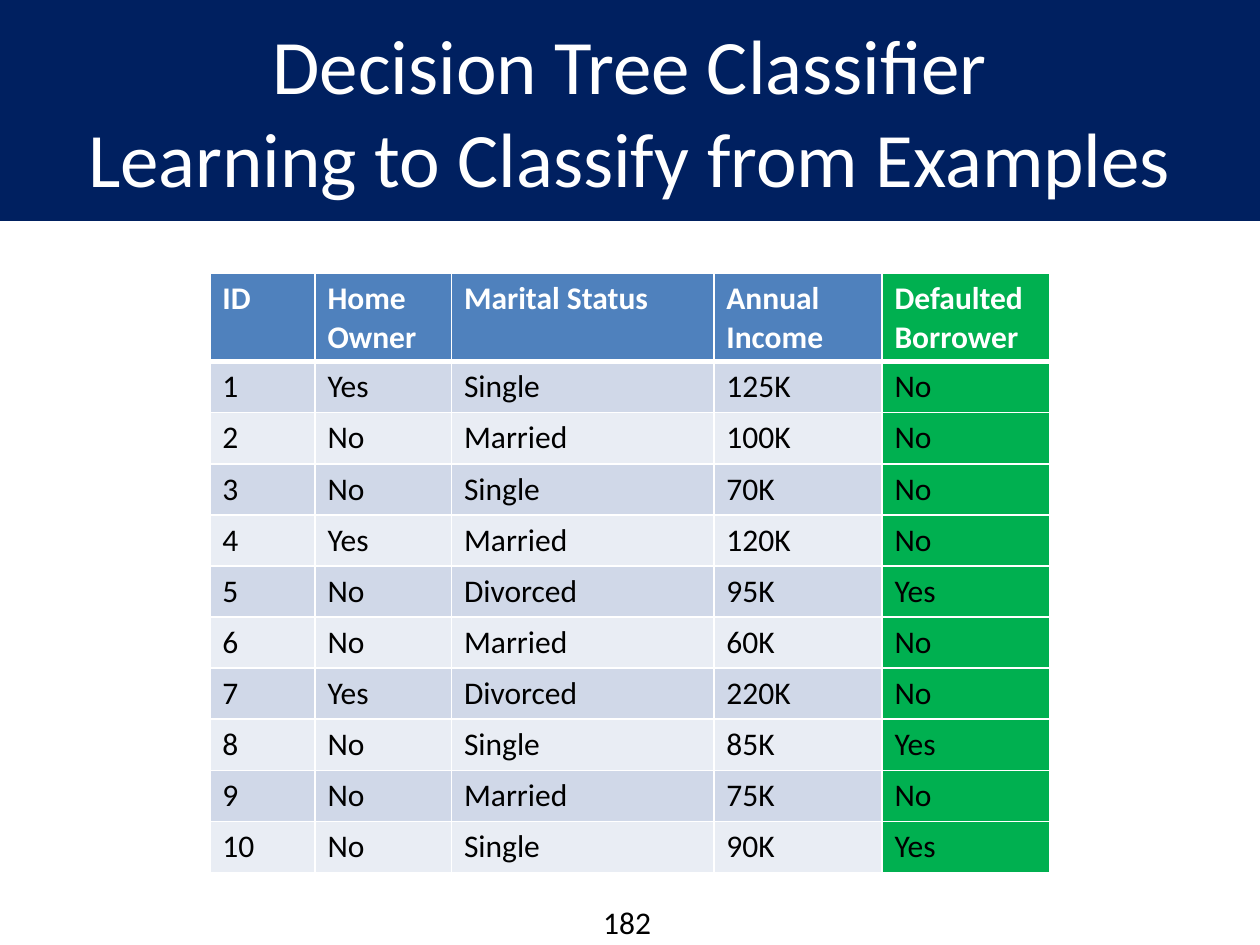
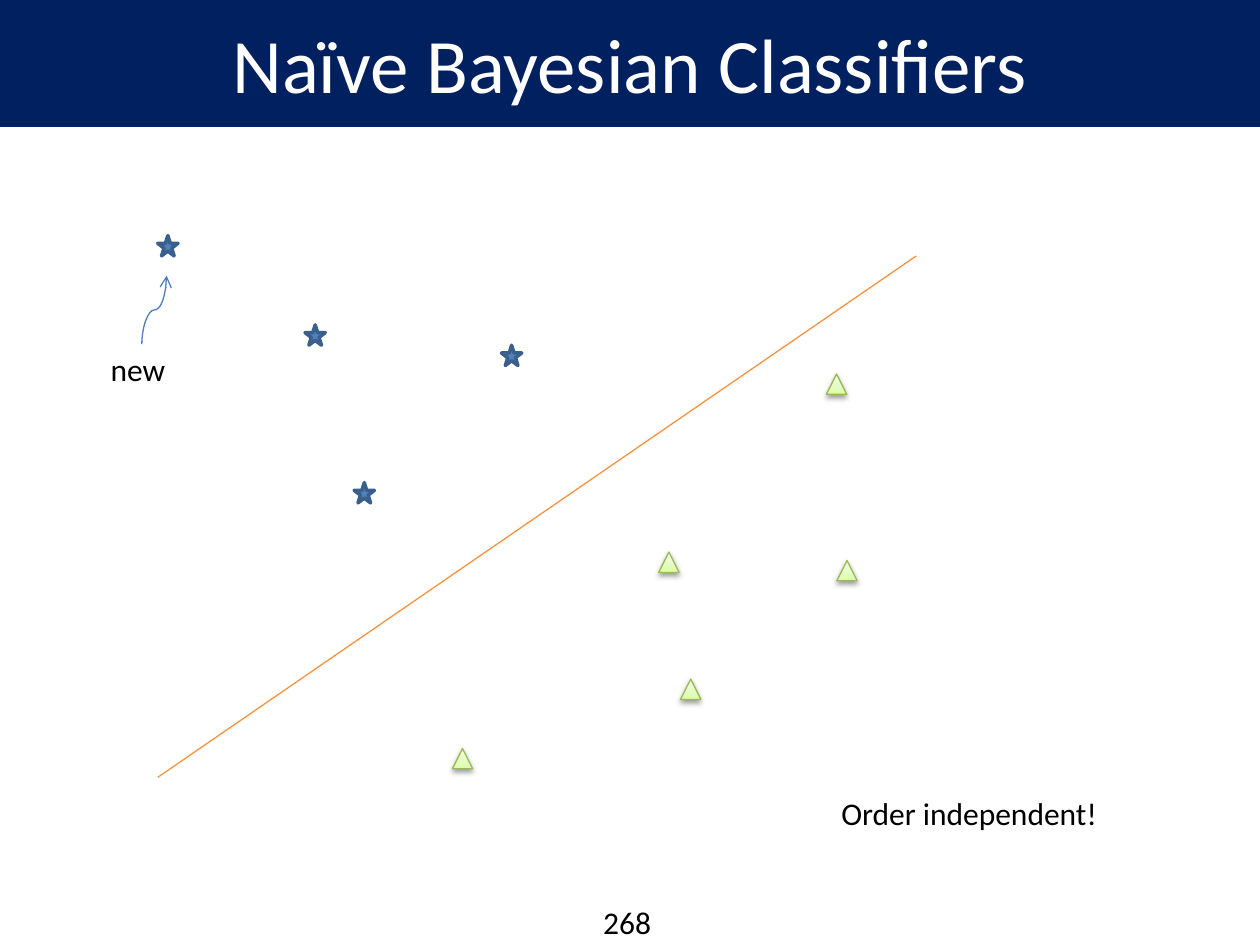
from lxml.etree import SubElement
from pptx import Presentation
from pptx.dml.color import RGBColor
from pptx.enum.shapes import MSO_CONNECTOR as Connector, MSO_SHAPE as Shape
from pptx.enum.text import MSO_ANCHOR as Anchor, PP_ALIGN as Align
from pptx.oxml.ns import qn
from pptx.util import Cm, Pt

SLIDE_WIDTH, SLIDE_HEIGHT = 25.4, 19.05
FONT = "Calibri"
COLORS = {
    "band": "002060", "white": "FFFFFF", "text": "000000",
    "header": "4F81BD", "odd_row": "D0D8E8", "even_row": "E9EDF4", "target": "00B050",
    "star": "4F81BD", "star_line": "3A5F8C", "triangle_line": "98B955",
    "boundary": "F69240", "arrow": "4B7EBC",
    "triangle_dark": "DAFDA7", "triangle_mid": "E4FCC2", "triangle_light": "F5FFE7",
}

# Boxes are left, top, width, height in centimetres
NUMBER_BOX = (11.63, 18.08, 2.11, 1.02)
TABLE_BOX = (4.23, 5.51, 16.94, 12.06)
PLOT_BOX = (1.98, 4.5, 20.5, 12.4)

# Loan table
COLUMN_WIDTHS = (2.12, 2.75, 5.29, 3.39, 3.39)
HEADER_HEIGHT = 1.76
BORROWERS = [
    ("ID", "Home Owner", "Marital Status", "Annual Income", "Defaulted Borrower"),
    ("1", "Yes", "Single", "125K", "No"),
    ("2", "No", "Married", "100K", "No"),
    ("3", "No", "Single", "70K", "No"),
    ("4", "Yes", "Married", "120K", "No"),
    ("5", "No", "Divorced", "95K", "Yes"),
    ("6", "No", "Married", "60K", "No"),
    ("7", "Yes", "Divorced", "220K", "No"),
    ("8", "No", "Single", "85K", "Yes"),
    ("9", "No", "Married", "75K", "No"),
    ("10", "No", "Single", "90K", "Yes"),
]

# Sample positions, relative to the plot box
MARKER_SIZE = 0.41
STARS = [(4.17, 2.05), (8.13, 2.46), (5.16, 5.23), (1.2, 0.25)]
TRIANGLES = [(11.3, 6.63), (11.74, 9.19), (14.89, 6.8), (14.68, 3.04), (7.14, 10.59)]
BOUNDARY = (1.2, 11.17, 16.49, 0.66)


def rgb(name):
    return RGBColor.from_string(COLORS[name])


def add_element(parent, tag, **attributes):
    return SubElement(parent, qn(tag), {key: str(value) for key, value in attributes.items()})


def write_text(frame, text, size=18, color="text", bold=False, align=None):
    for index, line in enumerate(text.split("\n")):
        paragraph = frame.paragraphs[0] if index == 0 else frame.add_paragraph()
        paragraph.alignment = align
        run = paragraph.add_run()
        run.text = line
        run.font.name, run.font.size, run.font.bold = FONT, Pt(size), bold
        run.font.color.rgb = rgb(color)


def add_label(slide, box, text, inset=0.25):
    frame = slide.shapes.add_textbox(*map(Cm, box)).text_frame
    frame.margin_left = Cm(inset)
    write_text(frame, text)


def add_preset(slide, kind, box, line, line_width=0.75):
    shape = slide.shapes.add_shape(kind, *map(Cm, box))
    shape.shadow.inherit = False
    shape.line.color.rgb = rgb(line)
    shape.line.width = Pt(line_width)
    return shape


def add_line(slide, kind, ends, color):
    connector = slide.shapes.add_connector(kind, *map(Cm, ends))
    connector.line.color.rgb = rgb(color)
    connector.line.width = Pt(0.75)
    add_element(connector._element.spPr, "a:effectLst")
    return connector


def add_title_band(slide, box, title):
    band = add_preset(slide, Shape.RECTANGLE, box, "band")
    band.fill.solid()
    band.fill.fore_color.rgb = rgb("band")
    band.text_frame.word_wrap = True
    band.text_frame.vertical_anchor = Anchor.MIDDLE
    write_text(band.text_frame, title, size=44, color="white", align=Align.CENTER)


def add_framed_slide(presentation, title, band_height, number):
    slide = presentation.slides.add_slide(presentation.slide_layouts[6])
    add_label(slide, NUMBER_BOX, number, inset=0.53)
    add_title_band(slide, (0, 0, SLIDE_WIDTH, band_height), title)
    return slide


def set_borders(cell, bottom):
    properties = cell._tc.get_or_add_tcPr()
    widths = {"a:lnL": 1, "a:lnR": 1, "a:lnT": 1, "a:lnB": bottom}
    for position, (tag, width) in enumerate(widths.items()):
        line = add_element(properties, tag, w=Pt(width))
        add_element(add_element(line, "a:solidFill"), "a:srgbClr", val=COLORS["white"])
        properties.insert(position, line)


def add_borrower_table(slide, box):
    table = slide.shapes.add_table(len(BORROWERS), len(COLUMN_WIDTHS), *map(Cm, box)).table
    for column, width in zip(table.columns, COLUMN_WIDTHS):
        column.width = Cm(width)
    body_height = (box[3] - HEADER_HEIGHT) / (len(BORROWERS) - 1)
    for row_index, values in enumerate(BORROWERS):
        is_header = row_index == 0
        table.rows[row_index].height = Cm(HEADER_HEIGHT if is_header else body_height)
        row_fill = "header" if is_header else ("even_row", "odd_row")[row_index % 2]
        for column_index, value in enumerate(values):
            cell = table.cell(row_index, column_index)
            is_target = column_index == len(values) - 1
            cell.fill.solid()
            cell.fill.fore_color.rgb = rgb("target" if is_target else row_fill)
            write_text(cell.text_frame, value, bold=is_header,
                       color="white" if is_header else "text")
            set_borders(cell, bottom=3 if is_header else 1)
            # The rule under the header is shared with the row below
            if row_index == 1:
                cell._tc.tcPr.find(qn("a:lnT")).set("w", str(Pt(3)))


def add_star(slide, left, top):
    box = (left, top, MARKER_SIZE, MARKER_SIZE)
    star = add_preset(slide, Shape.STAR_5_POINT, box, "star_line", line_width=2)
    star.fill.solid()
    star.fill.fore_color.rgb = rgb("star")


def add_triangle(slide, left, top):
    box = (left, top, MARKER_SIZE, MARKER_SIZE)
    triangle = add_preset(slide, Shape.ISOSCELES_TRIANGLE, box, "triangle_line")
    # Three-stop gradient, rising from the base
    triangle.fill.gradient()
    triangle.fill.gradient_angle = 90
    properties = triangle._element.spPr
    stops = properties.find(".//" + qn("a:gsLst"))
    for stop in list(stops):
        stops.remove(stop)
    for percent, name in ((0, "dark"), (35, "mid"), (100, "light")):
        stop = add_element(stops, "a:gs", pos=percent * 1000)
        add_element(stop, "a:srgbClr", val=COLORS["triangle_" + name])
    # Soft shadow below
    shadow = add_element(properties.find(qn("a:effectLst")), "a:outerShdw",
                         blurRad=Pt(3.1), dist=Pt(1.6), dir=90 * 60000, rotWithShape=0)
    shadow_color = add_element(shadow, "a:srgbClr", val=COLORS["text"])
    add_element(shadow_color, "a:alpha", val=38000)


def add_new_sample_arrow(slide, center_x, center_y, length=1.38, sway=0.5):
    # Laid out horizontally, then turned a quarter so that it points up
    ends = (center_x + length / 2, center_y + sway / 2,
            center_x - length / 2, center_y - sway / 2)
    arrow = add_line(slide, Connector.CURVE, ends, "arrow")
    arrow._element.spPr.find(qn("a:xfrm")).set("rot", str(90 * 60000))
    add_element(arrow.line._get_or_add_ln(), "a:tailEnd", type="arrow")


def add_sample_plot(slide, box):
    left, top = box[:2]
    for x, y in STARS:
        add_star(slide, left + x, top + y)
    for x, y in TRIANGLES:
        add_triangle(slide, left + x, top + y)
    x1, y1, x2, y2 = BOUNDARY
    add_line(slide, Connector.STRAIGHT, (left + x1, top + y1, left + x2, top + y2), "boundary")
    # Annotations
    add_label(slide, (left, top + 2.43, 1.75, 1.02), "new")
    add_new_sample_arrow(slide, left + 1.13, top + 1.75)
    add_label(slide, (left + 14.73, top + 11.38, 5.74, 1.02), "Order independent!")


def main():
    presentation = Presentation()
    presentation.slide_width, presentation.slide_height = Cm(SLIDE_WIDTH), Cm(SLIDE_HEIGHT)

    tree_title = "Decision Tree Classifier\nLearning to Classify from Examples"
    tree_slide = add_framed_slide(presentation, tree_title, 4.45, "182")
    add_borrower_table(tree_slide, TABLE_BOX)

    bayes_slide = add_framed_slide(presentation, "Naïve Bayesian Classifiers", 2.54, "268")
    add_sample_plot(bayes_slide, PLOT_BOX)

    presentation.save("out.pptx")


if __name__ == "__main__":
    main()
